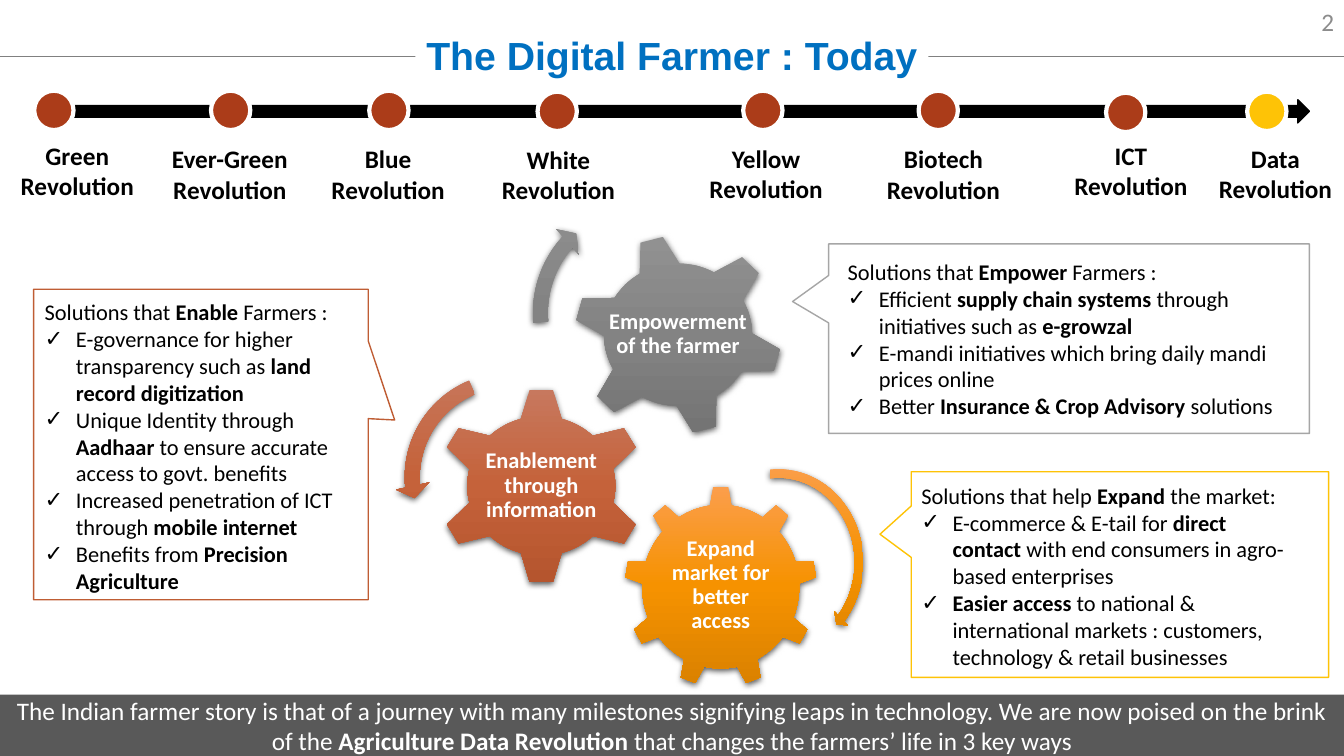
from copy import deepcopy
from math import cos, radians, sin

from pptx import Presentation
from pptx import util as u
from pptx.dml.color import RGBColor
from pptx.enum import shapes, text
from pptx.oxml import ns, parse_xml

BLACK = RGBColor(0x00, 0x00, 0x00)
WHITE = RGBColor(0xFF, 0xFF, 0xFF)
BLUE = RGBColor(0x00, 0x70, 0xC0)
RULE = RGBColor(0x80, 0x80, 0x80)
NUMBER = RGBColor(0x8C, 0x8C, 0x8C)
BANNER = RGBColor(0x59, 0x59, 0x59)
RUST = RGBColor(0xAB, 0x3C, 0x19)
YELLOW = RGBColor(0xFE, 0xC3, 0x06)
COPPER = RGBColor(0xBF, 0x5D, 0x34)
SILVER = RGBColor(0xA6, 0xA6, 0xA6)
ORANGES = [RGBColor(0xFB, 0x9E, 0x4B), RGBColor(0xF6, 0x92, 0x00), RGBColor(0xDB, 0x82, 0x00)]
COPPERS = [RGBColor(0xC7, 0x78, 0x5E), RGBColor(0xC5, 0x62, 0x3A), RGBColor(0xB5, 0x55, 0x2E)]
GREYS = [RGBColor(0x91, 0x91, 0x91), RGBColor(0x83, 0x83, 0x83), RGBColor(0x74, 0x74, 0x74)]

SHAPE = shapes.MSO_SHAPE
CENTER = text.PP_ALIGN.CENTER
MIDDLE = text.MSO_ANCHOR.MIDDLE

prs = Presentation()
prs.slide_width, prs.slide_height = u.Inches(13.33), u.Inches(7.5)
COL, ROW = prs.slide_width / 40, prs.slide_height / 30

MILESTONES = [
    ("Green", 1.6, 4.38, 2.3, 5.36, RUST),
    ("Ever-Green", 6.86, 4.38, 6.84, 5.5, RUST),
    ("Blue", 11.57, 4.38, 11.55, 5.5, RUST),
    ("White", 16.58, 4.42, 16.62, 5.52, RUST),
    ("Yellow", 22.7, 4.38, 22.8, 5.48, RUST),
    ("Biotech", 27.92, 4.38, 28.08, 5.5, RUST),
    ("ICT", 33.5, 4.46, 33.66, 5.36, RUST),
    ("Data", 37.7, 4.42, 37.96, 5.48, YELLOW),
]

GEARS = [
    ("Expand market for better access", (18.6, 19.32, 5.7, 7.92), 9, 0, 0.82, (4.6, 7.8), 1.15, ORANGES),
    ("Enablement through information", (13.05, 15.44, 6.12, 7.68), 6, 0, 0.72, (6.5, 16), 1.05, COPPERS),
    ("Empowerment of the farmer", (17.12, 9.36, 6.12, 7.84), 6, 45, 0.72, (6.5, 16), 0.9, GREYS),
]

ARROWS = [
    (SHAPE.CIRCULAR_ARROW, (20.49, 18.4, 5.37, 7.84), (0.047, 2.99, 25.131, 158.679, 0.055), ORANGES),
    (SHAPE.LEFT_CIRCULAR_ARROW, (11.76, 14.4, 6.81, 9.08), (0.065, 4.3, 104.891, 148.378, 0.075), COPPERS),
    (SHAPE.CIRCULAR_ARROW, (15.57, 7.52, 7.35, 9.8), (0.06, 3.941, 133.138, 105.082, 0.07), GREYS),
]

SOLUTIONS = [
    (2, (24.66, 9.68, 14.31, 7.52), (0.27, 0.36, 13.65), (-0.575, -0.196), SILVER, [
        "Solutions that *Empower* Farmers :",
        "Efficient *supply chain systems *through initiatives such as *e-growzal*",
        "E-mandi initiatives which bring daily mandi prices online",
        "Better *Insurance & Crop Advisory *solutions"]),
    (4, (27.12, 18.72, 12.42, 8.16), (0, 0.2, 11.61), (-0.575, -0.196), YELLOW, [
        "Solutions that help *Expand *the market:",
        "E-commerce & E-tail for *direct contact* with end consumers in agro-based enterprises",
        "*Easier access *to national & international markets : customers, technology & retail businesses"]),
    (1, (1, 11.48, 9.96, 12.32), (0.03, 0.16, 9.93), (0.579, -0.079), COPPER, [
        "Solutions that *Enable* Farmers :",
        "E-governance for higher transparency such as *land record digitization*",
        "Unique Identity through *Aadhaar* to ensure accurate access to govt. benefits",
        "Increased penetration of ICT through *mobile internet*",
        "Benefits from *Precision Agriculture*"]),
]


def grid(c, r, w, h):
    return [round(v) for v in (c * COL, r * ROW, w * COL, h * ROW)]


def move(s, box):
    s.left, s.top, s.width, s.height = grid(*box)


def write(tf, paragraphs, size=18, color=BLACK, font="Calibri", bold=False,
          align=None, anchor=text.MSO_ANCHOR.TOP, wrap=True, spacing=1.0):
    tf.word_wrap, tf.vertical_anchor = wrap, anchor
    tf.auto_size = text.MSO_AUTO_SIZE.NONE
    for i, line in enumerate(paragraphs):
        p = tf.paragraphs[0] if i == 0 else tf.add_paragraph()
        p.alignment, p.line_spacing, p.space_before = align, spacing, u.Pt(0)
        for k, part in enumerate(line.split("*")):
            if part:
                r = p.add_run()
                r.text = part
                r.font.name, r.font.size = font, u.Pt(size)
                r.font.bold = bold or k % 2 == 1
                r.font.color.rgb = color


def style(s, fill=None, line=None, width=1):
    s.shadow.inherit = False
    if fill is None:
        s.fill.background()
    else:
        s.fill.solid()
        s.fill.fore_color.rgb = fill
    if line is None:
        s.line.fill.background()
    else:
        s.line.color.rgb, s.line.width = line, u.Pt(width)


def shade(s, colors):
    style(s)
    s.fill.gradient()
    s.fill.gradient_angle = 270
    stops = s._element.spPr.find(ns.qn("a:gradFill")).find(ns.qn("a:gsLst"))
    stops.append(deepcopy(stops[0]))
    for i, (stop, color) in enumerate(zip(s.fill.gradient_stops, colors)):
        stop.position, stop.color.rgb = i / 2, color
    s._element.spPr.find(ns.qn("a:effectLst")).append(parse_xml(
        f'<a:outerShdw {ns.nsdecls("a")} blurRad="57150" dist="19050" dir="5400000" rotWithShape="0">'
        '<a:srgbClr val="000000"><a:alpha val="63000"/></a:srgbClr></a:outerShdw>'))


def preset(slide, kind, box, **look):
    s = slide.shapes.add_shape(kind, *grid(*box))
    style(s, **look)
    return s


def label(slide, box, lines, **look):
    write(slide.shapes.add_textbox(*grid(*box)).text_frame, lines, **look)


def header(slide):
    title = slide.shapes.title
    move(title, (12.36, 1.04, 15.27, 2.28))
    title.fill.solid()
    title.fill.fore_color.rgb = WHITE
    write(title.text_frame, ["The Digital Farmer : Today"], size=28, color=BLUE, font="Arial",
          bold=True, align=CENTER, anchor=MIDDLE, wrap=False)
    x, y, w, _ = grid(0, 2.24, 40, 0)
    rule = slide.shapes.add_connector(shapes.MSO_CONNECTOR.STRAIGHT, x, y, x + w, y)
    rule.line.color.rgb, rule.line.width = RULE, u.Pt(0.5)
    rule._element.spPr.append(parse_xml(f'<a:effectLst {ns.nsdecls("a")}/>'))
    slide.shapes._spTree.insert(2, rule._element)
    label(slide, (31, 0.04, 9, 1.6), ["2"], color=NUMBER, align=text.PP_ALIGN.RIGHT, anchor=MIDDLE)


def timeline(slide, box):
    preset(slide, SHAPE.RIGHT_ARROW, box, fill=BLACK, line=BLACK)
    for name, c, r, label_c, label_r, color in MILESTONES:
        preset(slide, SHAPE.OVAL, (c - 0.58, r - 0.78, 1.17, 1.56), fill=color, line=WHITE, width=3)
        label(slide, (label_c - 2.2, label_r, 4.4, 2.84), [name + " Revolution"], bold=True, align=CENTER)


def gear(slide, caption, box, teeth, turn, root, half_angles, inset, colors):
    x, y, w, h = grid(*box)
    step = 360 / teeth
    tip, foot = half_angles
    gap = step - 2 * foot
    points = []
    for k in range(teeth):
        a = turn + k * step
        outline = [(a - tip, 1), (a + tip, 1)]
        outline += [(a + foot + gap * i / 8, root) for i in range(9)]
        points += [(round(x + w / 2 * (1 + q * sin(radians(d)))),
                    round(y + h / 2 * (1 - q * cos(radians(d))))) for d, q in outline]
    builder = slide.shapes.build_freeform(*points[0])
    builder.add_line_segments(points[1:], close=True)
    s = builder.convert_to_shape()
    shade(s, colors)
    tf = s.text_frame
    tf.margin_left = tf.margin_right = round(inset * COL)
    write(tf, [caption], size=16, color=WHITE, bold=True, align=CENTER, anchor=MIDDLE, spacing=0.9)


def turning_arrow(slide, kind, box, adjustments, colors):
    s = slide.shapes.add_shape(kind, *grid(*box))
    for i, value in enumerate(adjustments):
        s.adjustments[i] = value
    shade(s, colors)


def solution(slide, idx, box, inner, tail, color, lines):
    c, r, _, h = box
    dc, dr, w = inner
    callout = preset(slide, SHAPE.RECTANGULAR_CALLOUT, box, line=color)
    callout.adjustments[0], callout.adjustments[1] = tail
    body = slide.placeholders[idx]
    move(body, (c + dc, r + dr, w, h - dr))
    write(body.text_frame, lines, size=16)
    for i, p in enumerate(body.text_frame.paragraphs):
        pPr = p._p.get_or_add_pPr()
        indent = u.Inches(0.31) if i else 0
        pPr.set("marL", str(indent))
        pPr.set("indent", str(-indent))
        bullet = 'buChar char="✓"' if i else "buNone"
        pPr.append(parse_xml(f'<a:{bullet} {ns.nsdecls("a")}/>'))


def banner(slide, box):
    s = preset(slide, SHAPE.RECTANGLE, box, fill=BANNER)
    write(s.text_frame, [
        "The Indian farmer story is that of a journey with many milestones signifying leaps in technology. "
        "We are now poised on the brink of the *Agriculture Data Revolution *that changes the farmers’ "
        "life in 3 key ways"], color=WHITE, align=CENTER, anchor=MIDDLE)


def main():
    slide = prs.slides.add_slide(prs.slide_layouts[4])
    header(slide)
    for parts in GEARS:
        gear(slide, *parts)
    for parts in ARROWS:
        turning_arrow(slide, *parts)
    timeline(slide, (1.02, 3.96, 37.95, 0.92))
    for parts in SOLUTIONS:
        solution(slide, *parts)
    spare = slide.placeholders[3]._element
    spare.getparent().remove(spare)
    banner(slide, (0, 27.56, 40, 2.44))
    prs.save("out.pptx")


if __name__ == "__main__":
    main()
